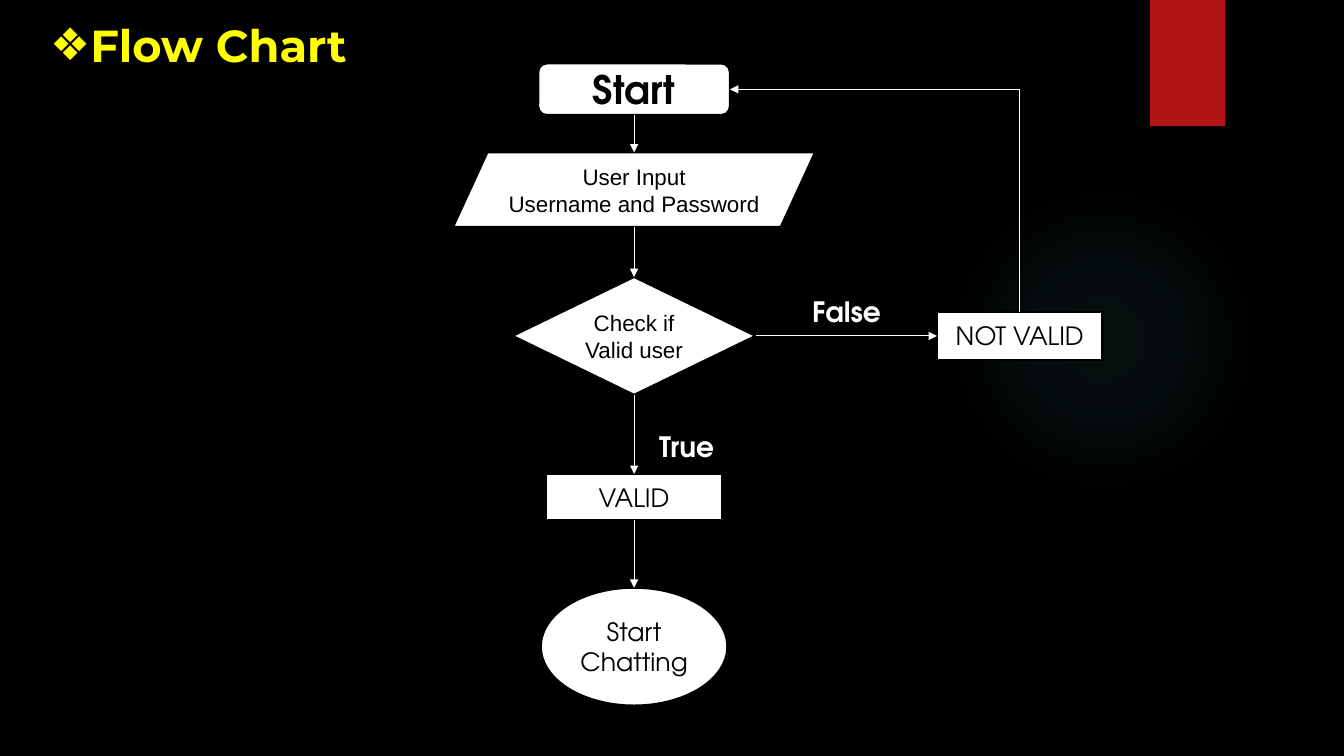
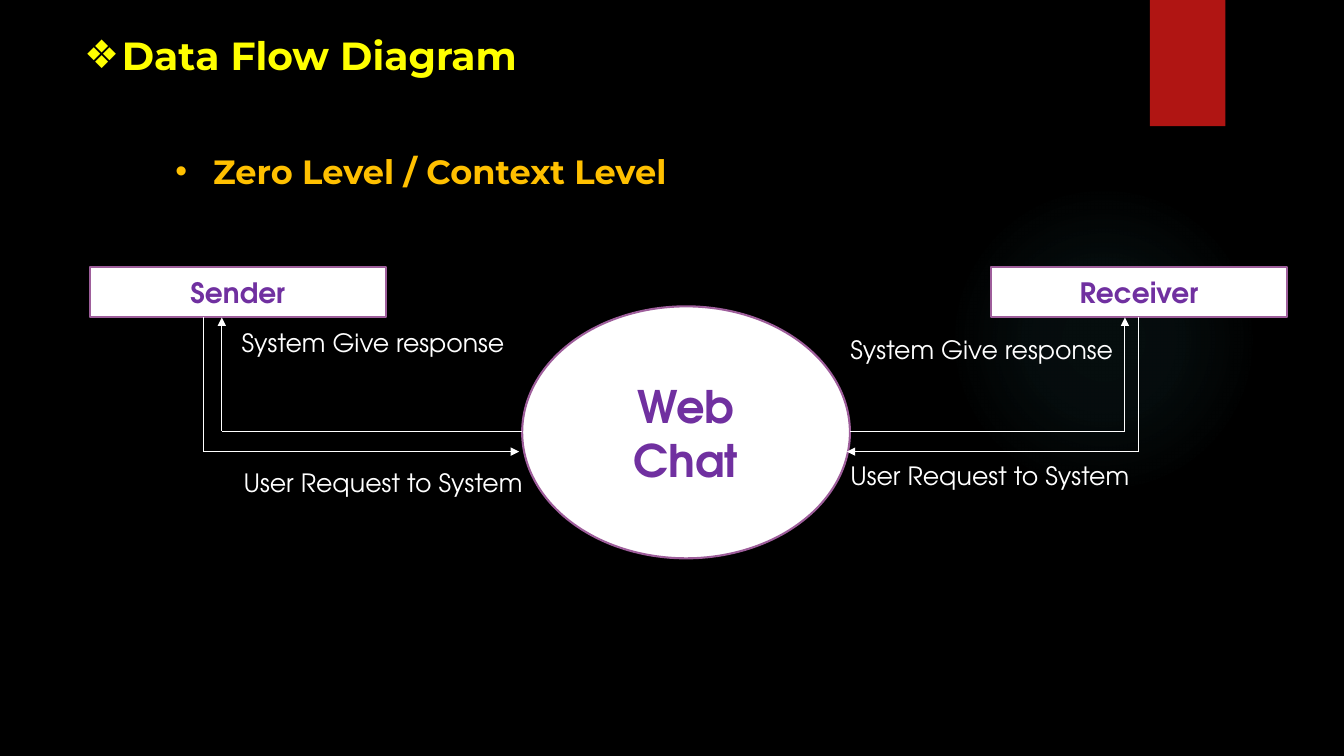
import pptx
import pptx.util
import pptx.dml.color
import pptx.enum.shapes
import pptx.enum.text
import pptx.oxml
import pptx.oxml.ns

Cm, Pt = pptx.util.Cm, pptx.util.Pt
SHAPE = pptx.enum.shapes.MSO_SHAPE
ALIGN = pptx.enum.text.PP_ALIGN
ANCHOR = pptx.enum.text.MSO_ANCHOR

COLORS = {
    "background": "000000", "ribbon": "B01513", "glow": "50B9C1",
    "white": "FFFFFF", "black": "000000", "title": "FFFF00",
    "subtitle": "FFC000", "entity": "7030A0", "entity_edge": "9E5E9B",
}

# Text styles: font, size, bold, colour
HEAD_FONT, BODY_FONT = "Montserrat", "TeX Gyre Adventor"
STYLES = {
    "title_large": (HEAD_FONT, 32, True, "title"),
    "title": (HEAD_FONT, 28, True, "title"),
    "subtitle": (HEAD_FONT, 24, True, "subtitle"),
    "start": (BODY_FONT, 28, True, "black"),
    "step": ("Arial", 16, False, "black"),
    "outcome": (BODY_FONT, 18, False, "black"),
    "branch": (BODY_FONT, 20, True, "white"),
    "process": (BODY_FONT, 32, True, "entity"),
    "entity": (BODY_FONT, 20, True, "entity"),
    "flow": (BODY_FONT, 18, False, "white"),
}
INDENT = 0.95


def rgb(name):
    return pptx.dml.color.RGBColor.from_string(COLORS[name])


def drawing_xml(tag, content="", attributes=""):
    return pptx.oxml.parse_xml(
        f'<a:{tag} {pptx.oxml.ns.nsdecls("a")} {attributes}>{content}</a:{tag}>')


def properties_of(shape):
    return shape.element.find(pptx.oxml.ns.qn("p:spPr"))


def write(shape, lines, style, align=ALIGN.LEFT, anchor=ANCHOR.TOP, bullet=None):
    font_name, size, bold, color = STYLES[style]
    frame = shape.text_frame
    frame.word_wrap = True
    frame.vertical_anchor = anchor
    for number, line in enumerate(lines):
        paragraph = frame.add_paragraph() if number else frame.paragraphs[0]
        paragraph.alignment = align
        run = paragraph.add_run()
        run.text = line
        run.font.name, run.font.size, run.font.bold = font_name, Pt(size), bold
        run.font.color.rgb = rgb(color)
        if bullet:
            settings = paragraph._p.get_or_add_pPr()
            settings.set("marL", str(Cm(INDENT)))
            settings.set("indent", str(-Cm(INDENT)))
            settings.append(drawing_xml("buFont", attributes='typeface="Arial"'))
            settings.append(drawing_xml("buChar", attributes=f'char="{bullet}"'))


def add_label(slide, text, style, left, top, width, height, bullet=None):
    label = slide.shapes.add_textbox(Cm(left), Cm(top), Cm(width), Cm(height))
    write(label, [text], style, bullet=bullet)


def add_node(slide, kind, lines, style, left, top, width, height, edge):
    node = slide.shapes.add_shape(kind, Cm(left), Cm(top), Cm(width), Cm(height))
    node.shadow.inherit = False
    node.fill.solid()
    node.fill.fore_color.rgb = rgb("white")
    node.line.color.rgb = rgb(edge)
    node.line.width = Pt(1.5)
    write(node, lines, style, ALIGN.CENTER, ANCHOR.MIDDLE)
    return node


def add_route(slide, *points):
    """Join the points with straight lines; the last one ends in an arrow."""
    for start, end in zip(points, points[1:]):
        segment = slide.shapes.add_connector(
            pptx.enum.shapes.MSO_CONNECTOR.STRAIGHT,
            Cm(start[0]), Cm(start[1]), Cm(end[0]), Cm(end[1]))
        segment.line.color.rgb = rgb("white")
        segment.line.width = Pt(0.75)
        properties = properties_of(segment)
        if end is points[-1]:
            properties.find(pptx.oxml.ns.qn("a:ln")).append(
                drawing_xml("tailEnd", attributes='type="triangle"'))
        properties.append(drawing_xml("effectLst"))


def add_title(slide, text, style, left, top, width, height):
    title = slide.shapes.title
    title.left, title.top = Cm(left), Cm(top)
    title.width, title.height = Cm(width), Cm(height)
    title.text_frame.auto_size = pptx.enum.text.MSO_AUTO_SIZE.NONE
    write(title, [text], style, ALIGN.CENTER, bullet="❖")


def decorate_layout(layout, slide):
    """Draw the glow and the ribbon, then move them to the shared layout."""
    glow = slide.shapes.add_shape(SHAPE.OVAL, Cm(23.9), Cm(4.65), Cm(7.82), Cm(7.82))
    ribbon = slide.shapes.add_shape(SHAPE.RECTANGLE, Cm(28.98), 0, Cm(1.9), Cm(3.18))
    for ornament in (glow, ribbon):
        ornament.shadow.inherit = False
        ornament.line.fill.background()
        layout.shapes.element.append(ornament.element)

    # Glow fading outwards
    stops = "".join(
        f'<a:gs pos="{place * 1000}"><a:srgbClr val="{COLORS["glow"]}">'
        f'<a:alpha val="{opacity * 1000}"/></a:srgbClr></a:gs>'
        for place, opacity in ((0, 7), (36, 6), (69, 0), (100, 0)))
    center = 'l="50000" t="50000" r="50000" b="50000"'
    properties_of(glow).insert(2, drawing_xml(
        "gradFill", f'<a:gsLst>{stops}</a:gsLst>'
        f'<a:path path="circle"><a:fillToRect {center}/></a:path>'))

    # Ribbon with a soft shadow below
    ribbon.fill.solid()
    ribbon.fill.fore_color.rgb = rgb("ribbon")
    properties_of(ribbon).find(pptx.oxml.ns.qn("a:effectLst")).append(drawing_xml(
        "outerShdw",
        f'<a:srgbClr val="{COLORS["black"]}"><a:alpha val="45000"/></a:srgbClr>',
        f'blurRad="{Pt(3)}" dist="{Pt(2)}" dir="5400000"'))


def draw_flow_chart(slide, left, top):
    axis = left + 4.55
    # Main column: shape, lines, style, top, width, height
    steps = [
        (SHAPE.ROUNDED_RECTANGLE, ["Start"], "start", 0, 4.83, 1.3),
        (SHAPE.PARALLELOGRAM, ["User Input", "Username and Password"],
         "step", 2.24, 9.12, 1.88),
        (SHAPE.DIAMOND, ["Check if Valid user"], "step", 5.38, 6.12, 2.97),
        (SHAPE.RECTANGLE, ["VALID"], "outcome", 10.34, 4.42, 1.17),
        (SHAPE.OVAL, ["Start", "Chatting"], "outcome", 13.21, 4.7, 2.97),
    ]
    for kind, lines, style, offset, width, height in steps:
        node = add_node(slide, kind, lines, style, axis - width / 2, top + offset,
                        width, height, "black")
        if kind == SHAPE.PARALLELOGRAM:
            node.adjustments[0] = 0.46
    for above, below in zip(steps, steps[1:]):
        add_route(slide, (axis, top + above[3] + above[5]), (axis, top + below[3]))

    # Branch for a failed check, leading back to the start
    start, check = steps[0], steps[2]
    check_middle = top + check[3] + check[5] / 2
    start_middle = top + start[3] + start[5] / 2
    width, height = 4.17, 1.22
    branch_axis = left + 14.27
    branch_left, branch_top = branch_axis - width / 2, check_middle - height / 2
    add_node(slide, SHAPE.RECTANGLE, ["NOT VALID"], "outcome",
             branch_left, branch_top, width, height, "black")
    add_route(slide, (axis + check[4] / 2, check_middle), (branch_left, check_middle))
    add_route(slide, (branch_axis, branch_top), (branch_axis, start_middle),
              (axis + start[4] / 2, start_middle))
    add_label(slide, "True", "branch", left + 4.93, top + 9.09, 2.69, 1.12)
    add_label(slide, "False", "branch", left + 8.79, top + 5.69, 3.66, 1.12)


def draw_context_diagram(slide, left, top, width):
    # Central process
    process_left, process_width = left + 10.9, 8.26
    process_right = process_left + process_width
    add_node(slide, SHAPE.OVAL, ["Web Chat"], "process",
             process_left, top + 0.99, process_width, 6.35, "entity_edge")

    # Entities: name, left, request x and end, response x and start,
    # response label, request label
    entity_width, entity_height = 7.47, 1.27
    sides = [
        ("Sender", 0, 2.87, process_left - 0.08, 3.33, process_left,
         (3.58, 1.4), (3.63, 4.93)),
        ("Receiver", width - entity_width, 26.44, process_right - 0.08, 26.09,
         process_right, (18.92, 1.57), (18.92, 4.75)),
    ]
    entity_bottom = top + entity_height
    request_y, response_y = top + 4.65, top + 4.14
    for (name, offset, request_x, request_end, response_x, response_start,
         response_label, request_label) in sides:
        add_node(slide, SHAPE.RECTANGLE, [name], "entity", left + offset, top,
                 entity_width, entity_height, "entity_edge")
        add_route(slide, (left + request_x, entity_bottom),
                  (left + request_x, request_y), (request_end, request_y))
        add_route(slide, (response_start, response_y),
                  (left + response_x, response_y), (left + response_x, entity_bottom))
        for text, (x, y) in (("System Give response", response_label),
                             ("User Request to System", request_label)):
            add_label(slide, text, "flow", left + x, top + y, 8.33, 1.02)


def main():
    deck = pptx.Presentation()
    deck.slide_width, deck.slide_height = Cm(33.87), Cm(19.05)
    backdrop = deck.slide_master.background.fill
    backdrop.solid()
    backdrop.fore_color.rgb = rgb("background")
    layout = deck.slide_layouts[5]

    # Flow chart
    flow_chart = deck.slides.add_slide(layout)
    decorate_layout(layout, flow_chart)
    add_title(flow_chart, "Flow Chart", "title_large", -0.86, 0.33, 11.73, 1.63)
    draw_flow_chart(flow_chart, 11.43, 1.6)

    # Data flow diagram
    data_flow = deck.slides.add_slide(layout)
    add_title(data_flow, "Data Flow Diagram", "title", 0.33, 0.66, 14.48, 1.45)
    add_label(data_flow, "Zero Level / Context Level", "subtitle",
              4.17, 3.68, 13.97, 1.27, bullet="•")
    draw_context_diagram(data_flow, 2.26, 6.73, 30.18)

    deck.save("out.pptx")


if __name__ == "__main__":
    main()
